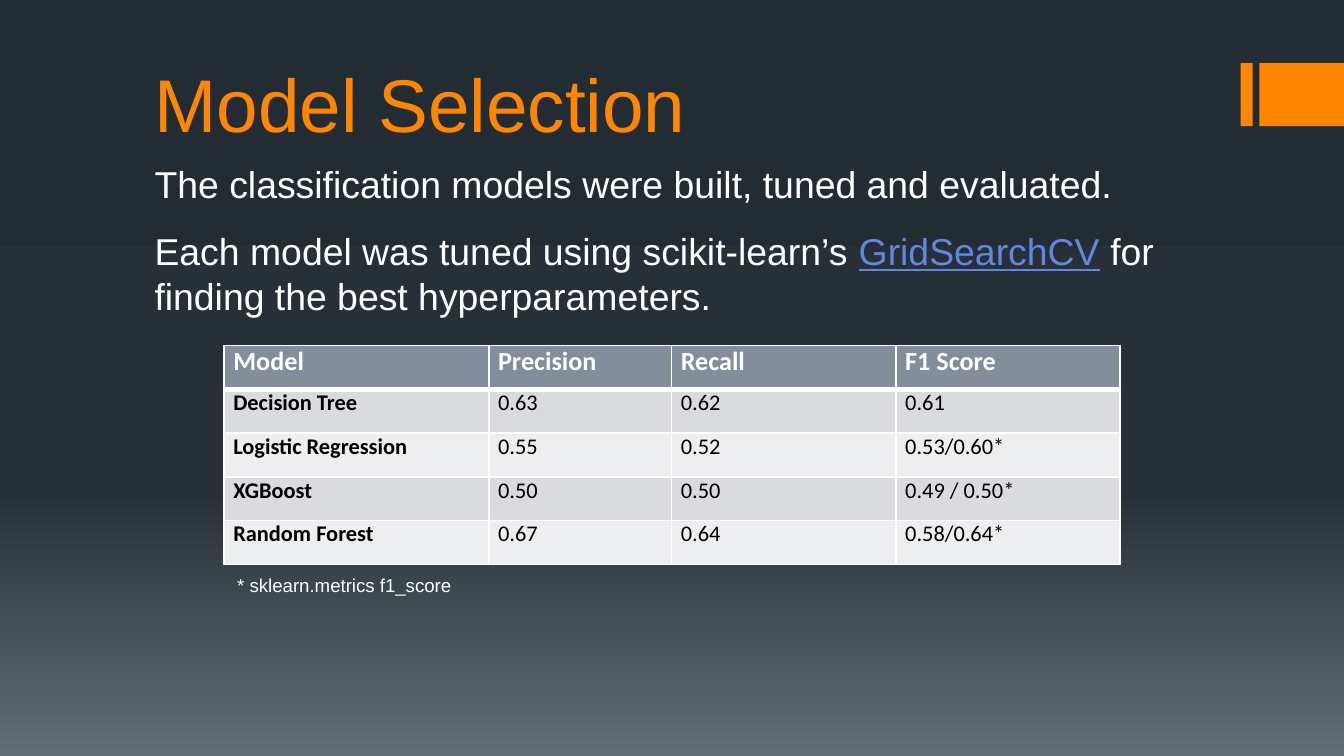
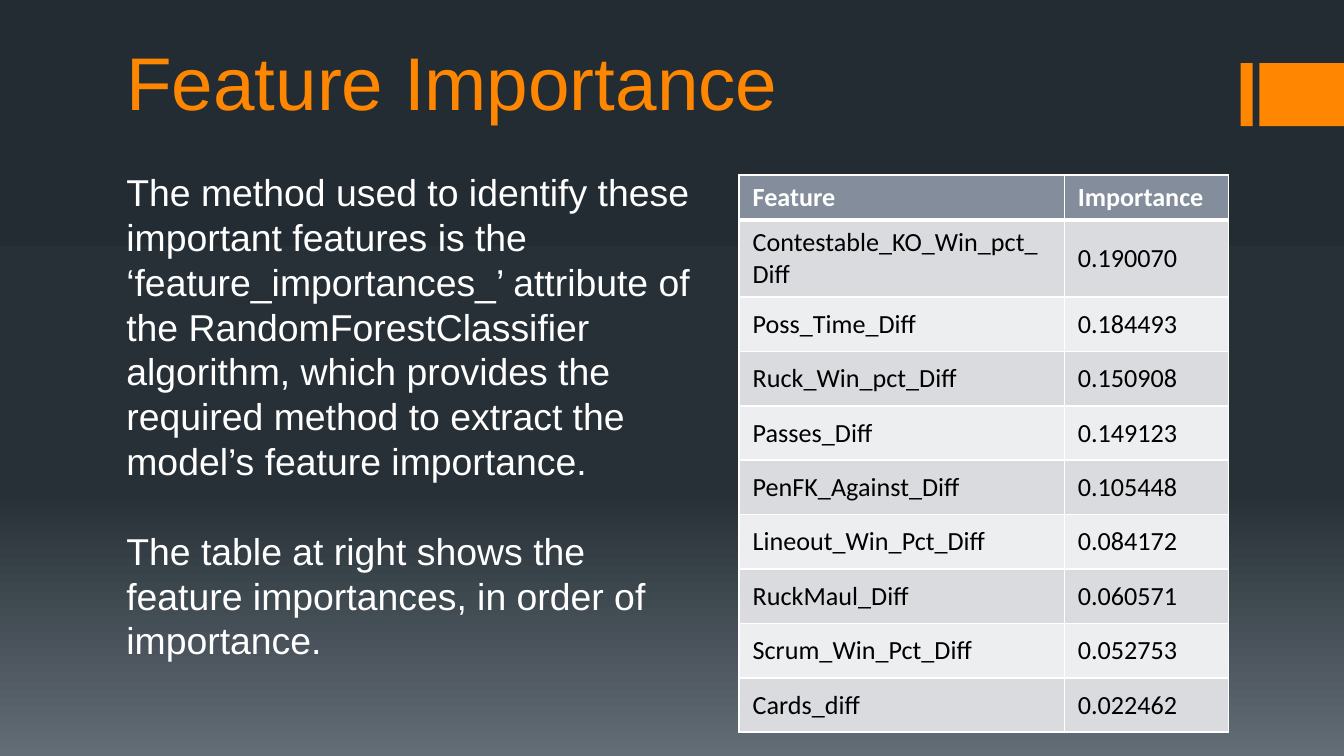
from lxml import etree
from pptx import Presentation
from pptx import util as u
from pptx.dml.color import RGBColor
from pptx.enum import shapes, text
from pptx.oxml.ns import qn

COLORS = {
    "night": "242C33", "slate": "273037", "mist": "636D76",
    "accent": "FF8600", "link": "6187E3", "white": "FFFFFF", "black": "000000",
    "header": "838D9B", "odd": "D9DBDE", "even": "EDEEEF",
}
WIDTH = 10
HEIGHT = WIDTH * 9 / 16
TITLE_WIDTH, TITLE_HEIGHT = 0.8 * WIDTH, 0.95


def write(para, words, size, color, font="Arial", bold=False):
    """Add one formatted run to a paragraph."""
    span = para.add_run()
    span.text = words
    span.font.name, span.font.size, span.font.bold = font, u.Pt(size), bold
    span.font.color.rgb = RGBColor.from_string(COLORS[color])
    return span


def draw_table(page, left, top, columns, heights, rows, size, bold_names, tight):
    """Add a banded table with white rules and a heavy rule under its header."""
    frame = page.shapes.add_table(len(rows), len(columns), u.Inches(left), u.Inches(top),
                                  u.Inches(sum(columns)), u.Inches(sum(heights)))
    table = frame.table
    for column, width in zip(table.columns, columns):
        column.width = u.Inches(width)
    for r, values in enumerate(rows):
        table.rows[r].height = u.Inches(heights[r])
        for c, value in enumerate(values):
            cell = table.cell(r, c)
            if tight:
                cell.margin_left = cell.margin_right = u.Inches(0.07)
                cell.margin_top = cell.margin_bottom = 0
            else:
                cell.vertical_anchor = text.MSO_ANCHOR.MIDDLE
            band = "header" if r == 0 else "odd" if r % 2 else "even"
            cell.fill.solid()
            cell.fill.fore_color.rgb = RGBColor.from_string(COLORS[band])
            write(cell.text_frame.paragraphs[0], value, 14 if r == 0 else size,
                  "white" if r == 0 else "black", "Calibri",
                  r == 0 or (bold_names and c == 0))
            # Cell borders come before the fill
            properties = cell._tc.get_or_add_tcPr()
            for i, side in enumerate("LRTB"):
                heavy = (r, side) in ((0, "B"), (1, "T"))
                line = etree.Element(qn("a:ln" + side), w=str(u.Pt(3 if heavy else 1)))
                solid = etree.SubElement(line, qn("a:solidFill"))
                etree.SubElement(solid, qn("a:srgbClr"), val=COLORS["white"])
                properties.insert(i, line)


deck = Presentation()
deck.slide_width, deck.slide_height = u.Inches(WIDTH), u.Inches(HEIGHT)

# Shared background: a vertical gradient on the master
master = deck.slide_master
master.background.fill.gradient()
master.background.fill.gradient_angle = 270
stops = master.element.cSld.find(".//" + qn("a:gsLst"))
for stop in list(stops):
    stops.remove(stop)
for percent, name in ((0, "night"), (65, "slate"), (100, "mist")):
    stop = etree.SubElement(stops, qn("a:gs"), pos=str(percent * 1000))
    etree.SubElement(stop, qn("a:srgbClr"), val=COLORS[name])

# Pages: title, title corner, body box, indent, paragraph gap, paragraphs
contents = [
    ("Model Selection", (1, 0.2), (1, 1.15, 8, 4.47), 0.05, 12, [
        [("The classification models were built, tuned and evaluated.", "white")],
        [("Each model was tuned using scikit-learn’s ", "white"), ("GridSearchCV", "link"),
         (" for finding the best hyperparameters.", "white")],
    ]),
    ("Feature Importance", (0.84, 0.03), (0.84, 1.21, 4.42, 3.8), 0, 24, [
        [("The method used to identify these important features is the "
          "‘feature_importances_’ attribute of the RandomForestClassifier algorithm, "
          "which provides the required method to extract the model’s feature importance.",
          "white")],
        [("The table at right shows the feature importances, in order of importance.",
          "white")],
    ]),
]
pages = []
for heading, corner, body_box, indent, gap, paragraphs in contents:
    page = deck.slides.add_slide(deck.slide_layouts[1])
    pages.append(page)
    title, body = page.placeholders
    for holder, area in ((title, (*corner, TITLE_WIDTH, TITLE_HEIGHT)), (body, body_box)):
        holder.left, holder.top, holder.width, holder.height = map(u.Inches, area)
        holder.text_frame.auto_size = text.MSO_AUTO_SIZE.NONE
        holder.text_frame.word_wrap = True
    title.text_frame.vertical_anchor = text.MSO_ANCHOR.BOTTOM
    para = title.text_frame.paragraphs[0]
    write(para, heading, 40, "accent")
    paras = [(para, 0)]
    for i, spans in enumerate(paragraphs):
        para = body.text_frame.add_paragraph() if i else body.text_frame.paragraphs[0]
        para.space_before, para.space_after = 0, u.Pt(gap)
        for words, color in spans:
            write(para, words, 20, color).font.underline = color == "link" or None
        paras.append((para, indent))
    paras[0] = (paras[0][0], indent)
    # Flush left, no bullets
    for para, margin in paras:
        para.alignment = text.PP_ALIGN.LEFT
        properties = para._p.get_or_add_pPr()
        properties.set("marL", str(u.Inches(margin)))
        properties.set("indent", "0")
        etree.SubElement(properties, qn("a:buNone"))

# Shared accent bars at the right edge, moved to the master
for i, (left, right) in enumerate(((9.23, 9.32), (9.37, WIDTH))):
    bar = pages[0].shapes.add_shape(shapes.MSO_SHAPE.RECTANGLE, u.Inches(left), u.Inches(0.47),
                                    u.Inches(right - left), u.Inches(0.47))
    bar.shadow.inherit = False
    bar.fill.solid()
    bar.fill.fore_color.rgb = RGBColor.from_string(COLORS["accent"])
    bar.line.fill.background()
    bar.element.nvSpPr.cNvPr.set("id", str(20 + i))
    master.element.cSld.spTree.append(bar.element)

# Model scores and their footnote
scores = [
    ("Model", "Precision", "Recall", "F1 Score"),
    ("Decision Tree", "0.63", "0.62", "0.61"),
    ("Logistic Regression", "0.55", "0.52", "0.53/0.60*"),
    ("XGBoost", "0.50", "0.50", "0.49 / 0.50*"),
    ("Random Forest", "0.67", "0.64", "0.58/0.64*"),
]
draw_table(pages[0], WIDTH / 6, 2.57, (1.97, 1.36, 1.67, 1.67), [1.63 / 5] * 5,
           scores, 12, bold_names=True, tight=True)
note = pages[0].shapes.add_textbox(u.Inches(WIDTH / 6), u.Inches(4.22),
                                   u.Inches(1.82), u.Inches(0.27))
note.text_frame.word_wrap = False
write(note.text_frame.paragraphs[0], "* sklearn.metrics f1_score", 10, "white")

# Feature importances
importances = [
    ("Feature", "Importance"),
    ("Contestable_KO_Win_pct_Diff", "0.190070"),
    ("Poss_Time_Diff", "0.184493"),
    ("Ruck_Win_pct_Diff", "0.150908"),
    ("Passes_Diff", "0.149123"),
    ("PenFK_Against_Diff", "0.105448"),
    ("Lineout_Win_Pct_Diff", "0.084172"),
    ("RuckMaul_Diff", "0.060571"),
    ("Scrum_Win_Pct_Diff", "0.052753"),
    ("Cards_diff", "0.022462"),
]
draw_table(pages[1], 5.5, 1.3, (2.42, 1.22), [0.33, 0.57] + [3.24 / 8] * 8,
           importances, 14, bold_names=False, tight=False)

deck.save("out.pptx")
